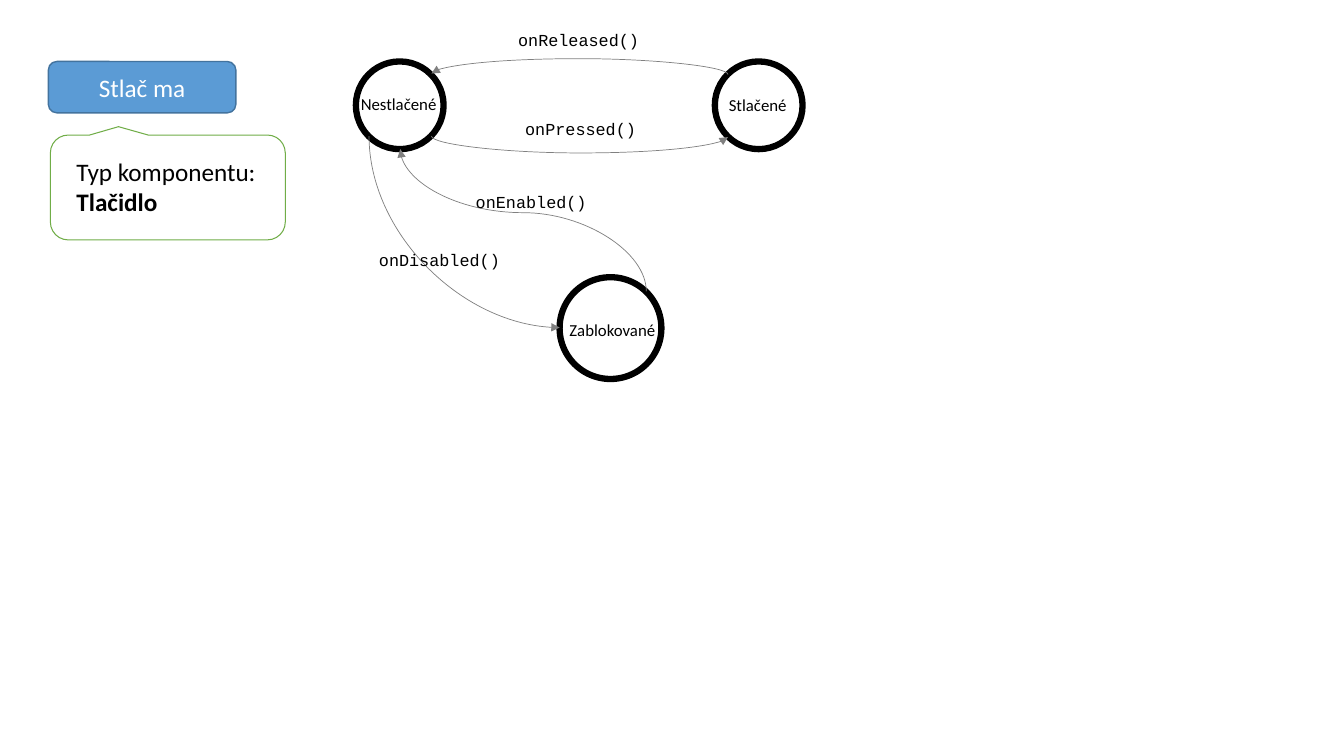
from dataclasses import dataclass

from lxml import etree
from pptx import Presentation
from pptx.dml.color import RGBColor
from pptx.enum.shapes import MSO_CONNECTOR, MSO_SHAPE
from pptx.enum.text import MSO_ANCHOR, MSO_AUTO_SIZE, PP_ALIGN
from pptx.oxml.ns import qn
from pptx.util import Inches, Pt

CURVE = MSO_CONNECTOR.CURVE
CIRCLE = MSO_SHAPE.OVAL
ROUNDED = MSO_SHAPE.ROUNDED_RECTANGLE
CALLOUT = MSO_SHAPE.ROUNDED_RECTANGULAR_CALLOUT
MIDDLE = MSO_ANCHOR.MIDDLE
CENTER = PP_ALIGN.CENTER
LEFT = PP_ALIGN.LEFT
FIT_SHAPE = MSO_AUTO_SIZE.SHAPE_TO_FIT_TEXT

TOP_LEFT, LEFT_SIDE, BOTTOM_LEFT, BOTTOM, BOTTOM_RIGHT, TOP_RIGHT = 1, 2, 3, 4, 5, 7


@dataclass(frozen=True)
class Theme:
    sans: str = "Calibri"
    mono: str = "Courier New"
    title_size: float = 18
    label_size: float = 12
    ink: str = "000000"
    paper: str = "FFFFFF"
    button: str = "5B9BD5"
    button_edge: str = "43739E"
    callout_edge: str = "70AD47"
    arrow: str = "808080"


class Canvas:
    def __init__(self, slide, theme):
        self.slide = slide
        self.theme = theme

    def shape(self, kind, at, edge, weight, fill=None, adjustments=()):
        shape = self.slide.shapes.add_shape(kind, *map(Inches, at))
        shape.shadow.inherit = False
        if fill:
            shape.fill.solid()
            shape.fill.fore_color.rgb = RGBColor.from_string(fill)
        else:
            shape.fill.background()
        shape.line.color.rgb = RGBColor.from_string(edge)
        shape.line.width = Pt(weight)
        for index, value in enumerate(adjustments):
            shape.adjustments[index] = value
        return shape

    def add_lines(self, frame, lines, size, color, font, align=LEFT):
        for index, (text, bold) in enumerate(lines):
            para = frame.add_paragraph() if index else frame.paragraphs[0]
            para.alignment = align
            span = para.add_run()
            span.text = text
            span.font.name = font
            span.font.size = Pt(size)
            span.font.bold = bold
            span.font.color.rgb = RGBColor.from_string(color)

    def button(self, at, text):
        theme = self.theme
        shape = self.shape(ROUNDED, at, theme.button_edge, 1, theme.button)
        shape.text_frame.vertical_anchor = MIDDLE
        self.add_lines(shape.text_frame, [(text, False)], theme.title_size,
                       theme.paper, theme.sans, CENTER)

    def text(self, at, lines, size, font):
        box = self.slide.shapes.add_textbox(*map(Inches, at))
        box.text_frame.word_wrap = False
        box.text_frame.auto_size = FIT_SHAPE
        self.add_lines(box.text_frame, lines, size, self.theme.ink, font)

    def label(self, at, text, font):
        self.text(at, [(text, False)], self.theme.label_size, font)

    def state(self, left, top, diameter):
        return self.shape(CIRCLE, (left, top, diameter, diameter),
                          self.theme.ink, 4.5)

    def transition(self, source, target, start, end, bow=None):
        (x1, y1), (x2, y2) = start, end
        width, height = abs(y2 - y1), abs(x2 - x1)
        left, top = (x1 + x2 - width) / 2, (y1 + y2 - height) / 2
        line = self.slide.shapes.add_connector(
            CURVE, Inches(left), Inches(top),
            Inches(left + width), Inches(top + height))
        line.line.color.rgb = RGBColor.from_string(self.theme.arrow)
        line.line.width = Pt(0.5)

        properties = line._element.spPr
        frame = properties.find(qn("a:xfrm"))
        frame.set("rot", str(270 * 60000))
        frame.set("flipH" if x2 > x1 else "flipV", "1")
        geometry = properties.find(qn("a:prstGeom"))
        if bow is None:
            geometry.set("prst", "curvedConnector2")
        else:
            guides = geometry.find(qn("a:avLst"))
            ratio = round(bow / width * 100000)
            etree.SubElement(guides, qn("a:gd"), name="adj1", fmla=f"val {ratio}")
        outline = properties.find(qn("a:ln"))
        etree.SubElement(outline, qn("a:tailEnd"), type="triangle")
        etree.SubElement(properties, qn("a:effectLst"))

        links = line._element.find(qn("p:nvCxnSpPr")).find(qn("p:cNvCxnSpPr"))
        for tag, (state, site) in (("a:stCxn", source), ("a:endCxn", target)):
            etree.SubElement(links, qn(tag), id=str(state.shape_id), idx=str(site))


deck = Presentation()
deck.slide_width = Inches(13.33)
deck.slide_height = Inches(7.5)
page = deck.slides.add_slide(deck.slide_layouts[6])
theme = Theme()
canvas = Canvas(page, theme)

canvas.shape(CALLOUT, (0.5, 1.34, 2.33, 1.04), theme.callout_edge, 0.75,
             adjustments=(-0.21, -0.58, 0.17))
canvas.button((0.48, 0.61, 1.86, 0.51), "Stlač ma")
canvas.text((0.66, 1.5, 2, 0.71),
            [("Typ komponentu:", False), ("Tlačidlo", True)],
            theme.title_size, theme.sans)

released = canvas.state(3.53, 0.61, 0.87)
pressed = canvas.state(7.09, 0.61, 0.87)
disabled = canvas.state(5.55, 2.75, 1.01)

canvas.transition((pressed, TOP_LEFT), (released, TOP_RIGHT),
                  (7.22, 0.74), (4.28, 0.73), 0.16)
canvas.transition((released, BOTTOM_RIGHT), (pressed, BOTTOM_LEFT),
                  (4.28, 1.35), (7.22, 1.36), 0.17)
canvas.transition((released, BOTTOM_LEFT), (disabled, LEFT_SIDE),
                  (3.66, 1.35), (5.55, 3.25))
canvas.transition((disabled, TOP_RIGHT), (released, BOTTOM),
                  (6.41, 2.89), (3.97, 1.48), 0.78)

for at, name in (
    ((3.48, 0.88, 0.96, 0.3), "Nestlačené"),
    ((7.13, 0.89, 0.78, 0.3), "Stlačené"),
    ((5.55, 3.12, 1.06, 0.3), "Zablokované"),
):
    canvas.label(at, name, theme.sans)

for at, event in (
    ((5.11, 1.13, 1.32, 0.3), "onPressed()"),
    ((5.04, 0.25, 1.42, 0.3), "onReleased()"),
    ((3.66, 2.43, 1.42, 0.3), "onDisabled()"),
    ((4.62, 1.85, 1.32, 0.3), "onEnabled()"),
):
    canvas.label(at, event, theme.mono)

deck.save("out.pptx")
